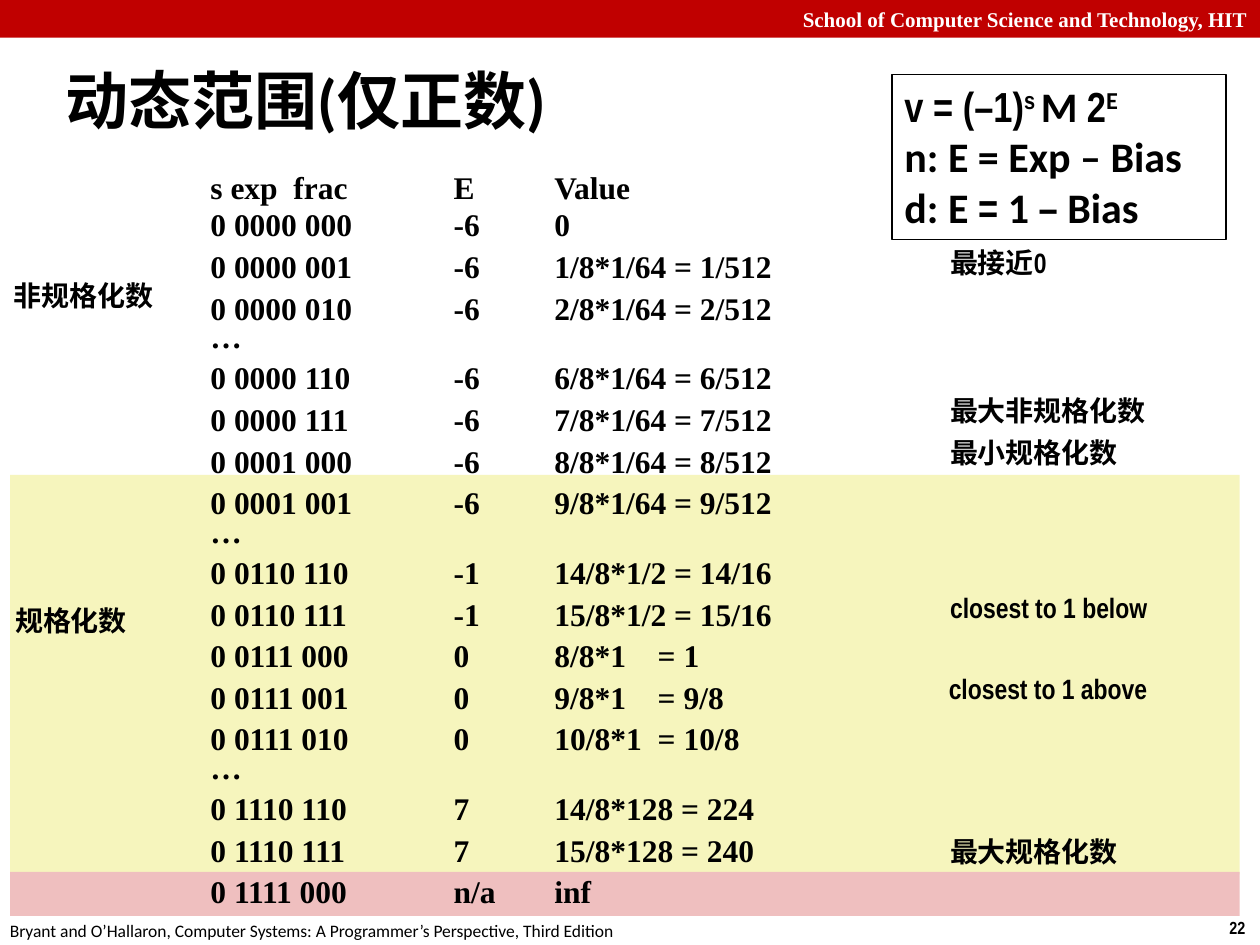
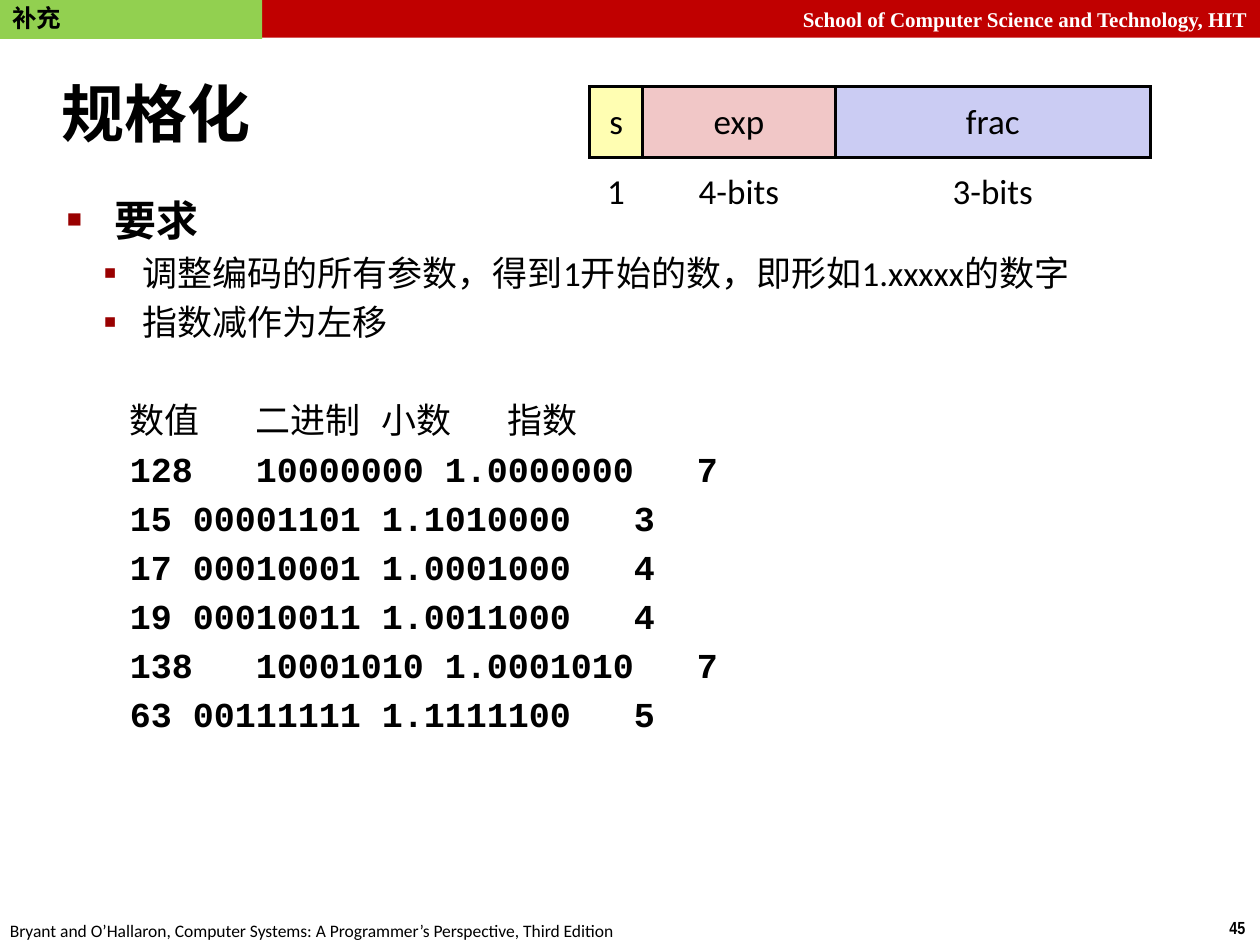
"""Build two lecture slides on floating-point range and normalisation."""
import dataclasses

import lxml.etree
import pptx
import pptx.dml.color
import pptx.enum.shapes
import pptx.enum.text
import pptx.oxml.ns
import pptx.util

Inches = pptx.util.Inches
Pt = pptx.util.Pt
Align = pptx.enum.text.PP_ALIGN
Anchor = pptx.enum.text.MSO_ANCHOR


@dataclasses.dataclass(frozen=True)
class Theme:
    """Colours, fonts and type sizes shared by the slides."""
    black: str = "000000"
    white: str = "FFFFFF"
    header: str = "C00000"
    tag: str = "92D050"
    bullet: str = "990000"
    normalized: str = "F6F5BD"
    special: str = "EFBFBF"
    sign: str = "FFFEB2"
    exponent: str = "F1C7C7"
    fraction: str = "CBCCF3"
    sans: str = "Calibri"
    narrow: str = "Arial Narrow"
    serif: str = "Times New Roman"
    mono: str = "Courier New"
    title_size: int = 36
    heading_size: int = 24
    body_size: int = 20
    row_size: int = 18
    label_size: int = 16
    tag_size: int = 14
    header_size: int = 12
    footer_size: int = 10


THEME = Theme()

RANGE_ROWS = [
    ("s exp  frac\tE\tValue", 1), ("0 0000 000\t-6\t0", 1),
    ("0 0000 001\t-6\t1/8*1/64 = 1/512", 1.1), ("0 0000 010\t-6\t2/8*1/64 = 2/512", 1.1),
    ("…", 0.75),
    ("0 0000 110\t-6\t6/8*1/64 = 6/512", 1.1), ("0 0000 111\t-6\t7/8*1/64 = 7/512", 1.1),
    ("0 0001 000\t-6\t8/8*1/64 = 8/512", 1.1), ("0 0001 001\t-6\t9/8*1/64 = 9/512", 1.1),
    ("…", 0.75),
    ("0 0110 110\t-1\t14/8*1/2 = 14/16", 1.1), ("0 0110 111\t-1\t15/8*1/2 = 15/16", 1.1),
    ("0 0111 000\t0\t8/8*1\t= 1", 1.1), ("0 0111 001\t0\t9/8*1\t= 9/8", 1.1),
    ("0 0111 010\t0\t10/8*1\t= 10/8", 1.1),
    ("…", 0.75),
    ("0 1110 110\t7\t14/8*128 = 224", 1.1), ("0 1110 111\t7\t15/8*128 = 240", 1.1),
    ("0 1111 000\tn/a\tinf", 1.1),
]

RANGE_LABELS = [
    ("最接近0", 7.5, 1.91, 0.86), ("最大非规格化数", 7.5, 3.08, 1.65),
    ("最小规格化数", 7.5, 3.42, 1.43), ("closest to 1 below", 7.5, 4.65, 2.02),
    ("closest to 1 above", 7.49, 5.29, 2.03), ("最大规格化数", 7.5, 6.58, 1.43),
    ("非规格化数", 0.07, 2.17, 1.21), ("规格化数", 0.08, 4.75, 0.98),
]

NORMALIZED_ROWS = [
    ("128", "10000000", "1.0000000", "7"), ("15", "00001101", "1.1010000", "3"),
    ("17", "00010001", "1.0001000", "4"), ("19", "00010011", "1.0011000", "4"),
    ("138", "10001010", "1.0001010", "7"), ("63", "00111111", "1.1111100", "5"),
]


def color(value):
    """Return an RGB colour from its hexadecimal form."""
    return pptx.dml.color.RGBColor.from_string(value)


def add_xml(parent, tag, **attributes):
    """Append a DrawingML child element."""
    names = {key: str(value) for key, value in attributes.items()}
    return lxml.etree.SubElement(parent, pptx.oxml.ns.qn("a:" + tag), names)


def add_run(paragraph, text, size, font=THEME.sans, bold=False, ink=THEME.black, raised=False):
    """Add one formatted run, optionally as a superscript."""
    run = paragraph.add_run()
    run.text = text
    run.font.size = Pt(size)
    run.font.name = font
    run.font.bold = bold
    run.font.color.rgb = color(ink)
    if raised:
        run.font._element.set("baseline", "32000")


def set_tabs(paragraph, stops):
    """Set (position, alignment) tab stops on a paragraph."""
    tabs = add_xml(paragraph._p.get_or_add_pPr(), "tabLst")
    for position, alignment in stops:
        add_xml(tabs, "tab", pos=Inches(position), algn=alignment)


def set_indent(paragraph, margin, first_line):
    """Set the left margin and first-line indent."""
    properties = paragraph._p.get_or_add_pPr()
    properties.set("marL", str(Inches(margin)))
    properties.set("indent", str(Inches(first_line)))
    return properties


def next_paragraph(frame):
    """Return the empty first paragraph or a new one."""
    first = frame.paragraphs[0]
    return first if len(frame.paragraphs) == 1 and not first.runs else frame.add_paragraph()


def add_text_box(slide, left, top, width, height, inset=None, wrap=True):
    """Add a text box and return its text frame."""
    frame = slide.shapes.add_textbox(
        Inches(left), Inches(top), Inches(width), Inches(height)).text_frame
    frame.word_wrap = wrap
    if inset is not None:
        frame.margin_left = frame.margin_right = Inches(inset)
        frame.margin_top = frame.margin_bottom = Inches(inset)
    return frame


def add_rectangle(slide, left, top, width, height, fill=None, outline=None):
    """Add a plain rectangle and return its text frame."""
    shape = slide.shapes.add_shape(
        pptx.enum.shapes.MSO_SHAPE.RECTANGLE,
        Inches(left), Inches(top), Inches(width), Inches(height))
    shape.shadow.inherit = False
    if fill:
        shape.fill.solid()
        shape.fill.fore_color.rgb = color(fill)
    else:
        shape.fill.background()
    if outline:
        shape.line.color.rgb = color(outline)
        shape.line.width = Pt(0.75)
    else:
        shape.line.fill.background()
    shape.text_frame.vertical_anchor = Anchor.TOP
    shape.text_frame.paragraphs[0].alignment = Align.LEFT
    return shape.text_frame


def place(shape, left, top, width, height):
    """Position a placeholder and switch off its text fitting."""
    shape.left, shape.top = Inches(left), Inches(top)
    shape.width, shape.height = Inches(width), Inches(height)
    shape.text_frame.auto_size = pptx.enum.text.MSO_AUTO_SIZE.NONE


def add_base_slide(presentation, layout, title, title_box, number):
    """Add a slide with its title, header band and footers."""
    slide = presentation.slides.add_slide(presentation.slide_layouts.get_by_name(layout))
    place(slide.shapes.title, *title_box)
    frame = slide.shapes.title.text_frame
    frame.vertical_anchor = Anchor.MIDDLE
    paragraph = frame.paragraphs[0]
    paragraph.alignment = Align.LEFT
    set_indent(paragraph, 0.13, -0.13)
    add_run(paragraph, title, THEME.title_size, bold=True)

    footer = add_text_box(slide, -0.02, 7.25, 5.08, 0.27)
    add_run(footer.paragraphs[0],
            "Bryant and O’Hallaron, Computer Systems: A Programmer’s Perspective, Third Edition",
            THEME.footer_size)
    page = add_text_box(slide, 9.66, 7.23, 0.34, 0.27, wrap=False)
    add_run(page.paragraphs[0], number, THEME.footer_size, THEME.narrow, True)
    header = add_rectangle(slide, 0, 0, 10, 0.3, THEME.header).paragraphs[0]
    header.alignment = Align.RIGHT
    add_run(header, "School of Computer Science and Technology, HIT",
            THEME.header_size, THEME.serif, True, THEME.white)
    return slide


def add_formula(slide):
    """Add the outlined box with the value formulas."""
    frame = add_rectangle(slide, 7.08, 0.59, 2.65, 1.31, outline=THEME.black)
    narrow, sans = THEME.narrow, THEME.sans
    lines = [
        [("v = (–1)", narrow, False), ("s ", narrow, True), ("M ", sans, False),
         ("2", narrow, False), ("E", sans, True)],
        [("n: E = Exp – Bias", sans, False)],
        [("d: E", sans, False), (" = ", narrow, False), ("1 ", sans, False),
         ("– ", narrow, False), ("Bias", sans, False)],
    ]
    for line in lines:
        paragraph = next_paragraph(frame)
        paragraph.alignment = Align.LEFT
        for text, font, raised in line:
            add_run(paragraph, text, THEME.heading_size, font, True, raised=raised)


def add_range_rows(slide):
    """Add the tabbed listing of bit patterns and values."""
    frame = add_text_box(slide, 1.67, 1.33, 5.08, 6.08, inset=0)
    for text, spacing in RANGE_ROWS:
        paragraph = next_paragraph(frame)
        set_tabs(paragraph, [(1.93, "l"), (2.73, "l"), (3.55, "l")])
        paragraph.line_spacing = float(spacing)
        add_run(paragraph, text, THEME.row_size, THEME.serif, True)


def add_bullet(frame, text, level, size, bold, margin, first_line, glyph, scale):
    """Add one bulleted paragraph."""
    paragraph = next_paragraph(frame)
    paragraph.level = level
    properties = set_indent(paragraph, margin, first_line)
    add_xml(add_xml(properties, "buClr"), "srgbClr", val=THEME.bullet)
    add_xml(properties, "buSzPct", val=scale * 1000)
    add_xml(properties, "buChar", char=glyph)
    add_run(paragraph, text, size, bold=bold)


def add_tabbed_row(frame, values, stops, font, bold):
    """Add an unbulleted row whose values stand at tab stops."""
    paragraph = next_paragraph(frame)
    paragraph.level = 1
    add_xml(set_indent(paragraph, 0, 0), "buNone")
    set_tabs(paragraph, stops)
    add_run(paragraph, "".join("\t" + value for value in values), THEME.body_size, font, bold)
    return paragraph


def set_borders(cell, edges):
    """Draw the named cell edges and hide the others."""
    properties = cell._tc.get_or_add_tcPr()
    for index, edge in enumerate("LRTB"):
        line = add_xml(properties, "ln" + edge, w=Pt(2))
        if edge in edges:
            add_xml(add_xml(line, "solidFill"), "srgbClr", val=THEME.black)
        else:
            add_xml(line, "noFill")
        properties.insert(index, line)


def add_field_table(slide):
    """Add the table of the number's fields and their widths."""
    fields = [("s", "1", 0.42, THEME.sign), ("exp", "4-bits", 1.53, THEME.exponent),
              ("frac", "3-bits", 2.5, THEME.fraction)]
    table = slide.shapes.add_table(
        2, len(fields), Inches(4.68), Inches(0.69), Inches(4.45), Inches(1.12)).table
    table.first_row = table.horz_banding = False
    for column, (name, bits, width, fill) in enumerate(fields):
        table.columns[column].width = Inches(width)
        for row, text in enumerate((name, bits)):
            cell = table.cell(row, column)
            cell.vertical_anchor = Anchor.MIDDLE
            cell.margin_left = cell.margin_right = Inches(0.06)
            cell.margin_top = cell.margin_bottom = Inches(0.06)
            if row == 0:
                cell.fill.solid()
                cell.fill.fore_color.rgb = color(fill)
            else:
                cell.fill.background()
            set_borders(cell, "T" if row else "LRTB")
            paragraph = cell.text_frame.paragraphs[0]
            paragraph.alignment = Align.CENTER
            add_run(paragraph, text, THEME.body_size)


def build_range_slide(presentation):
    """Build the slide on the dynamic range."""
    slide = add_base_slide(
        presentation, "Title Only", "动态范围(仅正数)", (0.42, 0.28, 9.17, 1.01), "22")
    add_rectangle(slide, 0.08, 3.77, 9.76, 3.17, THEME.normalized)
    for text, left, top, width in RANGE_LABELS:
        frame = add_text_box(slide, left, top, width, 0.35, inset=0.04)
        add_run(frame.paragraphs[0], text, THEME.label_size, THEME.narrow, True)
    add_formula(slide)
    add_rectangle(slide, 0.08, 6.92, 9.76, 0.35, THEME.special)
    add_range_rows(slide)


def build_normalize_slide(presentation):
    """Build the slide on normalisation."""
    slide = add_base_slide(
        presentation, "Title and Content", "规格化", (0.39, 0.48, 9.61, 0.83), "45")
    body = slide.placeholders[1]
    place(body, 0.43, 1.49, 9.4, 5.44)
    frame = body.text_frame
    add_bullet(frame, "要求", 0, THEME.heading_size, True, 0.38, -0.38, "■", 60)
    for text in ("调整编码的所有参数，得到1开始的数，即形如1.xxxxx的数字", "指数减作为左移"):
        add_bullet(frame, text, 1, THEME.body_size, False, 0.6, -0.31, "▪", 110)
    heading_stops = [(0.3, "l"), (1.61, "l"), (2.61, "l"), (3.61, "l")]
    heading = add_tabbed_row(
        frame, ("数值", "二进制", "小数", "指数"), heading_stops, THEME.sans, False)
    heading.space_before = Pt(32)
    row_stops = [(0.96, "r"), (1.61, "l"), (3.61, "l"), (5.61, "l")]
    for values in NORMALIZED_ROWS:
        add_tabbed_row(frame, values, row_stops, THEME.mono, True)
    add_field_table(slide)
    tag = add_rectangle(slide, 0, 0, 2.08, 0.31, THEME.tag).paragraphs[0]
    tag.line_spacing = Pt(15)
    add_run(tag, "补充", THEME.tag_size, bold=True)


def main():
    """Build and save the presentation."""
    presentation = pptx.Presentation()
    presentation.slide_width, presentation.slide_height = Inches(10), Inches(7.5)
    build_range_slide(presentation)
    build_normalize_slide(presentation)
    presentation.save("out.pptx")


main()
